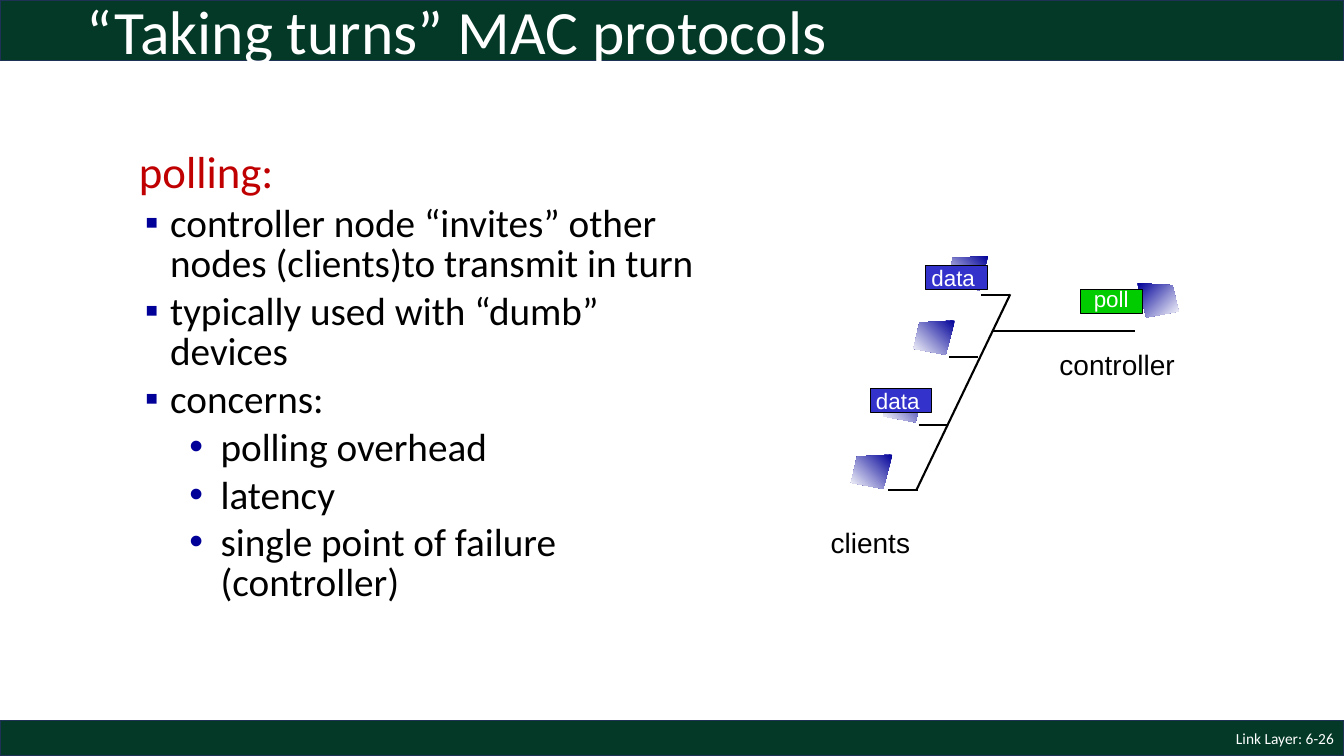
from lxml import etree
from pptx import Presentation
from pptx.dml.color import RGBColor
from pptx.enum import shapes, text
from pptx.oxml.ns import qn
from pptx.util import Inches, Pt

# Content
TITLE = "“Taking turns” MAC protocols"
FOOTER = "Link Layer: 6-26"
POLLING = [  # style, wording
    ("heading", "polling:"),
    ("point", "controller node “invites” other nodes (clients)to transmit in turn"),
    ("point", "typically used with “dumb” devices"),
    ("point", "concerns:"),
    ("detail", "polling overhead"),
    ("detail", "latency"),
    ("detail", "single point of failure (controller)"),
]
CLIENTS = [  # node corner, start of its stub to the bus
    ((8.44, 4.51), (8.81, 4.86)),
    ((8.76, 3.85), (9.11, 4.22)),
    ((9.06, 3.18), (9.41, 3.54)),
    ((9.39, 2.54), (9.73, 2.93)),
]
CONTROLLER = (11.28, 2.81)
BUS = [((9.85, 3.28), (11.26, 3.28)), ((9.09, 4.86), (10.02, 2.92))]
CAPTIONS = [("controller", (10.41, 3.4, 1.36, 0.44)),
            ("clients", (8.14, 5.16, 1, 0.44))]
BADGES = [  # wording, colour, corner, text offset, text width
    ("poll", "poll", (10.72, 2.87), (0.03, -0.09), 0.55),
    ("data", "data", (8.63, 3.85), (-0.04, -0.06), 0.63),
    ("data", "data", (9.18, 2.63), (-0.04, -0.06), 0.63),
]

# Theme
THEME = {
    "color": {"bar": "043927", "bar_edge": "1E3256", "white": "FFFFFF", "ink": "000000",
              "heading": "C00000", "accent": "000099", "poll": "00CC00", "data": "3333CC"},
    "size": {"title": 44, "heading": 32, "point": 28, "detail": 28,
             "caption": 20, "badge": 16, "footer": 11},
    "body": "Calibri",
    "diagram": "Arial",
}
BULLETS = {  # left margin, first-line indent, level, bullet
    "heading": (0.38, -0.38, 0, None),
    "point": (0.31, -0.25, 0, "▪"),
    "detail": (0.81, -0.31, 1, "•"),
}
NODE = [(0.41, 0), (0.06, 0.02), (0, 0.28), (0.32, 0.34)]
NODE_WIDTH = 0.41
BADGE_SIZE = (0.61, 0.24)
STUB = 0.29

prs = Presentation()
prs.slide_width, prs.slide_height = Inches(13.33), Inches(7.5)
slide = prs.slides.add_slide(prs.slide_layouts[6])


def color(name):
    return RGBColor.from_string(THEME["color"][name])


def apply(target, values):
    for key, value in values.items():
        setattr(target, key, value)


def block(box, fill, edge, width):
    rect = slide.shapes.add_shape(shapes.MSO_SHAPE.RECTANGLE, *map(Inches, box))
    rect.shadow.inherit = False
    rect.fill.solid()
    rect.fill.fore_color.rgb = color(fill)
    rect.line.color.rgb = color(edge)
    rect.line.width = Pt(width)


def frame_at(box, **values):
    frame = slide.shapes.add_textbox(*map(Inches, box)).text_frame
    apply(frame, {"word_wrap": True, **values})
    return frame


def write(paragraph, wording, size, ink, face="body"):
    run = paragraph.add_run()
    run.text = wording
    apply(run.font, {"size": Pt(THEME["size"][size]), "name": THEME[face]})
    run.font.color.rgb = color(ink)


def label(box, wording, size, ink):
    frame = frame_at(box, word_wrap=False, auto_size=text.MSO_AUTO_SIZE.SHAPE_TO_FIT_TEXT)
    write(frame.paragraphs[0], wording, size, ink, "diagram")


def wire(start, end):
    line = slide.shapes.add_connector(
        shapes.MSO_CONNECTOR.STRAIGHT, *map(Inches, (*start, *end)))
    line.line.color.rgb = color("ink")
    line.line.width = Pt(1.5)
    etree.SubElement(line._element.spPr, qn("a:effectLst"))


def node(corner, mirrored=False):
    left, top = corner
    points = [(Inches(left + (NODE_WIDTH - x if mirrored else x)), Inches(top + y))
              for x, y in NODE]
    builder = slide.shapes.build_freeform(*points[0])
    builder.add_line_segments(points[1:], close=True)
    shape = builder.convert_to_shape()
    shape.shadow.inherit = False
    shape.line.fill.background()
    shape.fill.gradient()
    shape.fill.gradient_angle = 315 if mirrored else 225
    for stop, name in zip(shape.fill.gradient_stops, ("accent", "white")):
        stop.color.rgb = color(name)


def set_bullet(paragraph, margin, indent, level, char):
    paragraph.level = level
    props = paragraph._p.get_or_add_pPr()
    props.set("marL", str(Inches(margin)))
    props.set("indent", str(Inches(indent)))
    if char is None:
        etree.SubElement(props, qn("a:buNone"))
        return
    tint = etree.SubElement(props, qn("a:buClr"))
    etree.SubElement(tint, qn("a:srgbClr"), val=THEME["color"]["accent"])
    etree.SubElement(props, qn("a:buFont"), typeface="Arial")
    etree.SubElement(props, qn("a:buChar"), char=char)


# Bars and footer
for top, height in ((0, 0.6), (7.15, 0.35)):
    block((0, top, 13.33, height), "bar", "bar_edge", 1)
footer = frame_at((10.33, 7.15, 3, 0.35), vertical_anchor=text.MSO_ANCHOR.MIDDLE)
footer.paragraphs[0].alignment = text.PP_ALIGN.RIGHT
write(footer.paragraphs[0], FOOTER, "footer", "white")

# Nodes
for corner, _ in CLIENTS:
    node(corner)
node(CONTROLLER, mirrored=True)

# Polling notes
notes = frame_at((1.28, 1.46, 6, 5.54))
for i, (style, wording) in enumerate(POLLING):
    paragraph = notes.add_paragraph() if i else notes.paragraphs[0]
    set_bullet(paragraph, *BULLETS[style])
    space = 0.2 * THEME["size"][style] if i else 0
    apply(paragraph, {"line_spacing": 0.85, "space_before": Pt(space)})
    write(paragraph, wording, style, "heading" if style == "heading" else "ink")

# Captions and message badges
for wording, box in CAPTIONS:
    label(box, wording, "caption", "ink")
for wording, fill, (left, top), (dx, dy), width in BADGES:
    block((left, top, *BADGE_SIZE), fill, "ink", 0.75)
    label((left + dx, top + dy, width, 0.37), wording, "badge", "white")

# Shared bus and stubs
for start, end in BUS:
    wire(start, end)
for _, (x, y) in CLIENTS:
    wire((x, y), (x + STUB, y))

# Title
title = frame_at((0.76, -0.15, 11.5, 0.98), vertical_anchor=text.MSO_ANCHOR.MIDDLE)
title.paragraphs[0].line_spacing = 0.9
write(title.paragraphs[0], TITLE, "title", "white")

prs.save("out.pptx")
